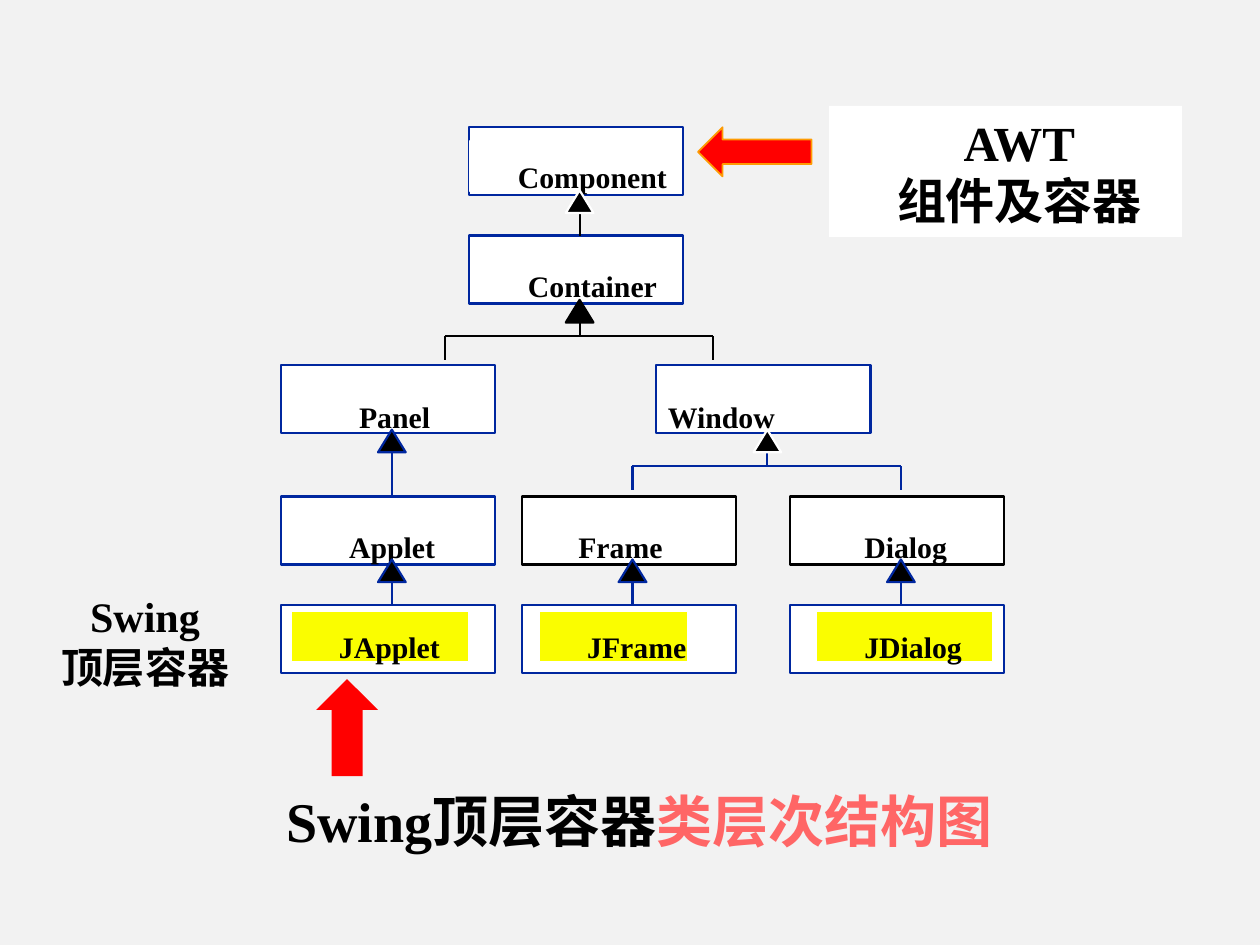
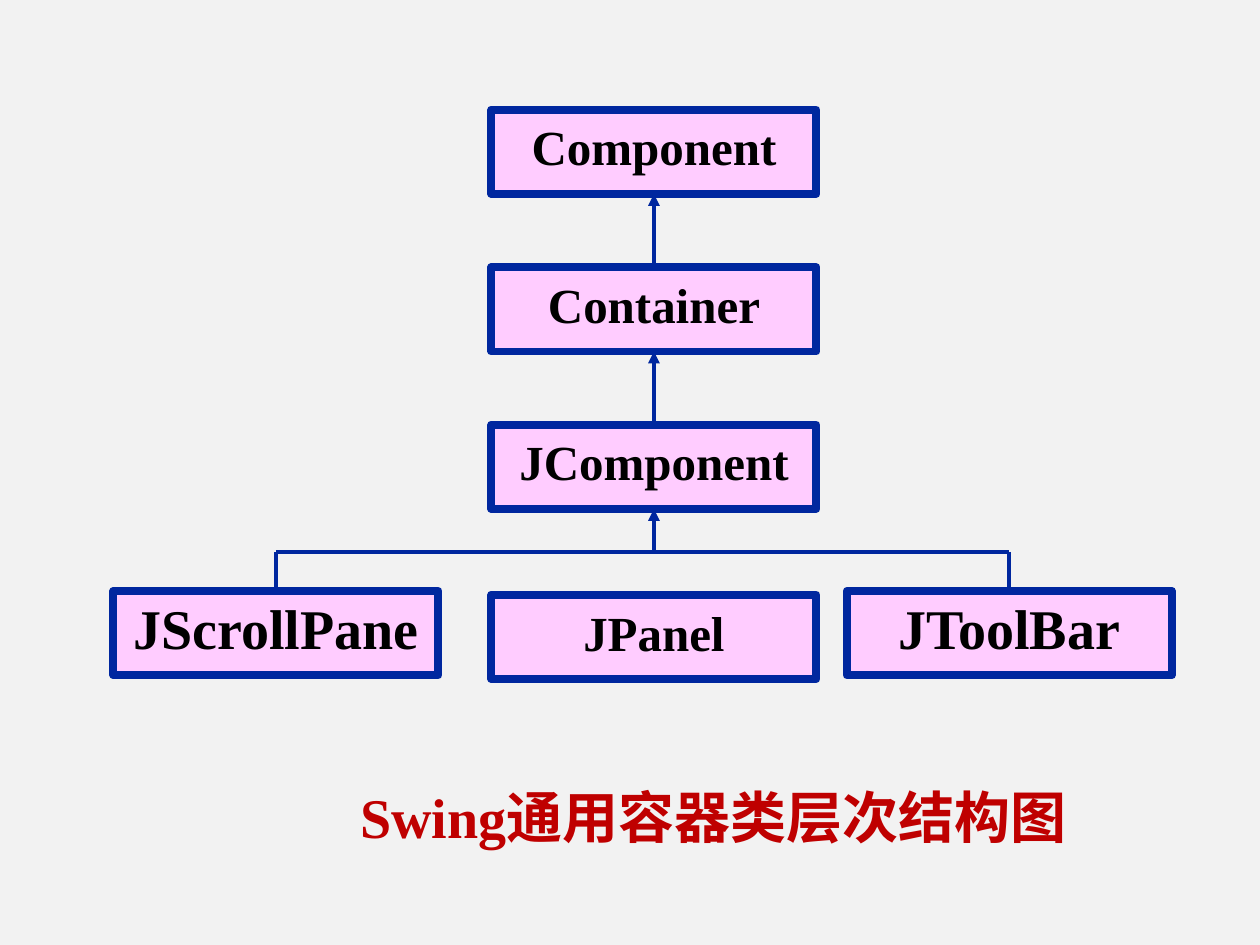
from lxml import etree
from pptx import Presentation
from pptx.dml.color import RGBColor
from pptx.enum.shapes import MSO_CONNECTOR as Connector, MSO_SHAPE as Shape
from pptx.enum.text import MSO_ANCHOR as Anchor, MSO_AUTO_SIZE as AutoSize, PP_ALIGN as Align
from pptx.oxml.ns import qn
from pptx.util import Inches, Pt

COLOURS = {
    "page": "F2F2F2", "white": "FFFFFF", "black": "000000", "navy": "00279F",
    "yellow": "FAFD00", "pink": "FFCCFF", "red": "FF0000", "coral": "FF6666",
    "crimson": "BF0000", "orange": "FE9B03",
}
FONT = "Times New Roman"
TOP, LEFT, BOTTOM = 0, 1, 2  # connection sites of a rectangle


def colour(name):
    return RGBColor.from_string(COLOURS[name])


def write(frame, lines, size, align=Align.LEFT, anchor=Anchor.TOP, spacing=1.0,
          insets=(0.1, 0.05, 0.1, 0.05), wrap=True):
    """Fill a text frame; each line is a list of (text, colour) spans."""
    frame.auto_size = AutoSize.NONE
    frame.word_wrap = wrap
    frame.vertical_anchor = anchor
    (frame.margin_left, frame.margin_top,
     frame.margin_right, frame.margin_bottom) = map(Inches, insets)
    for number, spans in enumerate(lines):
        para = frame.add_paragraph() if number else frame.paragraphs[0]
        para.alignment = align
        para.line_spacing = spacing
        for text, tint in spans:
            span = para.add_run()
            span.text = text
            span.font.name = FONT
            span.font.size = Pt(size)
            span.font.bold = True
            span.font.color.rgb = colour(tint)


class Diagram:
    """Shared style, and the slide being drawn."""

    def __init__(self):
        self.deck = Presentation()
        self.deck.slide_width, self.deck.slide_height = Inches(10), Inches(7.5)
        background = self.deck.slide_master.background.fill
        background.solid()
        background.fore_color.rgb = colour("page")
        self.page = None

    def new_page(self):
        self.page = self.deck.slides.add_slide(self.deck.slide_layouts[5])

    def title(self, place, spans, spacing=1.0):
        box = self.page.shapes.title
        box.left, box.top, box.width, box.height = map(Inches, place)
        write(box.text_frame, [spans], 32, spacing=spacing)

    def paint(self, shape, fill, border=None, weight=1.25):
        shape.shadow.inherit = False
        shape.fill.solid()
        shape.fill.fore_color.rgb = colour(fill)
        if border:
            shape.line.color.rgb = colour(border)
            shape.line.width = Pt(weight)
        else:
            shape.line.fill.background()
        return shape

    def shape(self, kind, place, fill, border=None, weight=1.25):
        shape = self.page.shapes.add_shape(kind, *map(Inches, place))
        return self.paint(shape, fill, border, weight)

    def text(self, place, lines, size, **style):
        box = self.page.shapes.add_textbox(*map(Inches, place))
        write(box.text_frame, [[(line, "black")] for line in lines], size, **style)
        return box

    def triangle(self, x, tip, border):
        half, height = 0.11, 0.18
        outline = self.page.shapes.build_freeform(Inches(x), Inches(tip))
        outline.add_line_segments([(Inches(x - half), Inches(tip + height)),
                                   (Inches(x + half), Inches(tip + height))])
        self.paint(outline.convert_to_shape(), "black", border)

    def line(self, start, end, tint="navy", weight=1.25, arrow=False,
             begin=None, finish=None):
        """begin and finish are (shape, site) pairs to join."""
        line = self.page.shapes.add_connector(
            Connector.STRAIGHT, *map(Inches, (*start, *end)))
        if begin:
            line.begin_connect(*begin)
        if finish:
            line.end_connect(*finish)
        line.line.color.rgb = colour(tint)
        line.line.width = Pt(weight)
        if arrow:
            etree.SubElement(line.line._get_or_add_ln(), qn("a:tailEnd"), type="triangle")
        etree.SubElement(line._element.spPr, qn("a:effectLst"))


def top_level_containers(diagram):
    diagram.new_page()
    diagram.title((2.17, 6.19, 6.6, 0.64),
                  [("Swing顶层容器", "black"), ("类层次结构图", "coral")])

    # Class boxes: name, left, top, border, label (left, top, width, inset), label fill
    width, height, indent = 1.7, 0.54, 0.38
    classes = [
        ("Component", 3.72, 1.01, "navy", (3.73, 1.12, 1.59, indent), "white"),
        ("Container", 3.72, 1.87, "navy", (3.81, 1.98, 1.43, indent), "white"),
        ("Window", 5.21, 2.9, "navy", (5.3, 3.02, 1.24, 0), "white"),
        ("Panel", 2.23, 2.9, "navy", (2.47, 3.02, 0.97, indent), "white"),
        ("Applet", 2.23, 3.94, "navy", (2.39, 4.05, 1.09, indent), "white"),
        ("Frame", 4.14, 3.94, "black", (4.21, 4.05, 1.31, indent), "white"),
        ("Dialog", 6.27, 3.94, "black", (6.48, 4.05, 1.06, indent), "white"),
        ("JApplet", 2.23, 4.8, "navy", (2.31, 4.85, 1.41, indent), "yellow"),
        ("JFrame", 4.14, 4.8, "navy", (4.28, 4.85, 1.18, indent), "yellow"),
        ("JDialog", 6.27, 4.8, "navy", (6.48, 4.85, 1.4, indent), "yellow"),
    ]
    for name, left, top, border, (label_left, label_top, label_width, inset), fill in classes:
        diagram.shape(Shape.RECTANGLE, (left, top, width, height), "white", border)
        label = diagram.shape(Shape.RECTANGLE, (label_left, label_top, label_width, 0.4),
                              fill, "white", 0.75)
        write(label.text_frame, [[(name, "black")]], 17, spacing=1.4,
              insets=(inset, 0.03, 0, 0))

    # Forks: left, right, height, colour
    for left, right, y, tint in [(5.02, 7.15, 3.7, "navy"), (3.53, 5.66, 2.67, "black")]:
        diagram.line((left, y), (right, y), tint)
        for x in (left, right):
            diagram.line((x, y), (x, y + 0.19), tint)

    # Inheritance arrows: x, foot, tip, line colour, triangle border
    for x, foot, tip, tint, border in [
        (4.6, 1.87, 1.51, "black", "white"),
        (4.6, 2.67, 2.38, "black", "black"),
        (3.11, 3.94, 3.41, "navy", "navy"),
        (6.09, 3.7, 3.41, "navy", "white"),
        (3.11, 4.8, 4.44, "navy", "navy"),
        (5.02, 4.8, 4.44, "navy", "navy"),
        (7.15, 4.8, 4.44, "navy", "navy"),
    ]:
        diagram.line((x, foot), (x, tip + 0.1), tint)
        diagram.triangle(x, tip, border)

    # Side notes and block arrows
    note = {"align": Align.CENTER, "insets": (0.32, 0.05, 0.1, 0.05)}
    diagram.text((0, 4.64, 2.08, 0.9), ["Swing", "顶层容器"], 24, **note)
    diagram.shape(Shape.UP_ARROW, (2.51, 5.39, 0.49, 0.77), "red")
    diagram.shape(Shape.LEFT_ARROW, (5.54, 1.01, 0.9, 0.39), "red", "orange", 1)
    panel = diagram.shape(Shape.RECTANGLE, (6.58, 0.84, 2.8, 1.04), "white")
    write(panel.text_frame, [[("AWT", "black")], [("组件及容器", "black")]], 28, **note)


def general_containers(diagram):
    diagram.new_page()
    diagram.title((2.76, 5.95, 6.6, 0.84), [("Swing通用容器类层次结构图", "crimson")],
                  spacing=1.4)

    # Class boxes: name, left, top, text size
    width, height, middle = 2.58, 0.67, 3.9
    boxes = {}
    for name, left, top, size in [
        ("Component", middle, 0.87, 28),
        ("Container", middle, 2.12, 28),
        ("JComponent", middle, 3.37, 28),
        ("JPanel", middle, 4.72, 28),
        ("JToolBar", 6.72, 4.69, 32),
        ("JScrollPane", 0.9, 4.69, 32),
    ]:
        box = diagram.shape(Shape.RECTANGLE, (left, top, width, height), "pink", "navy", 4.5)
        write(box.text_frame, [[(name, "black")]], size, align=Align.CENTER,
              anchor=Anchor.MIDDLE, spacing=0.8, wrap=False)
        boxes[name] = box

    # Inheritance arrows and the fork
    axis, fork, weight = middle + width / 2, 4.38, 2.25
    for child, parent in [("Container", "Component"), ("JComponent", "Container")]:
        diagram.line((axis, 0), (axis, 0), weight=weight, arrow=True,
                     begin=(boxes[child], TOP), finish=(boxes[parent], BOTTOM))
    diagram.line((axis, fork), (axis, fork), weight=weight, arrow=True,
                 finish=(boxes["JComponent"], BOTTOM))
    ends = {"JScrollPane": 0.9 + width / 2, "JToolBar": 6.72 + width / 2}
    diagram.line((ends["JScrollPane"], fork), (ends["JToolBar"], fork), weight=weight)
    for name, x in ends.items():
        diagram.line((x, fork), (x, fork), weight=weight, finish=(boxes[name], TOP))


def main():
    diagram = Diagram()
    top_level_containers(diagram)
    general_containers(diagram)
    diagram.deck.save("out.pptx")


if __name__ == "__main__":
    main()
